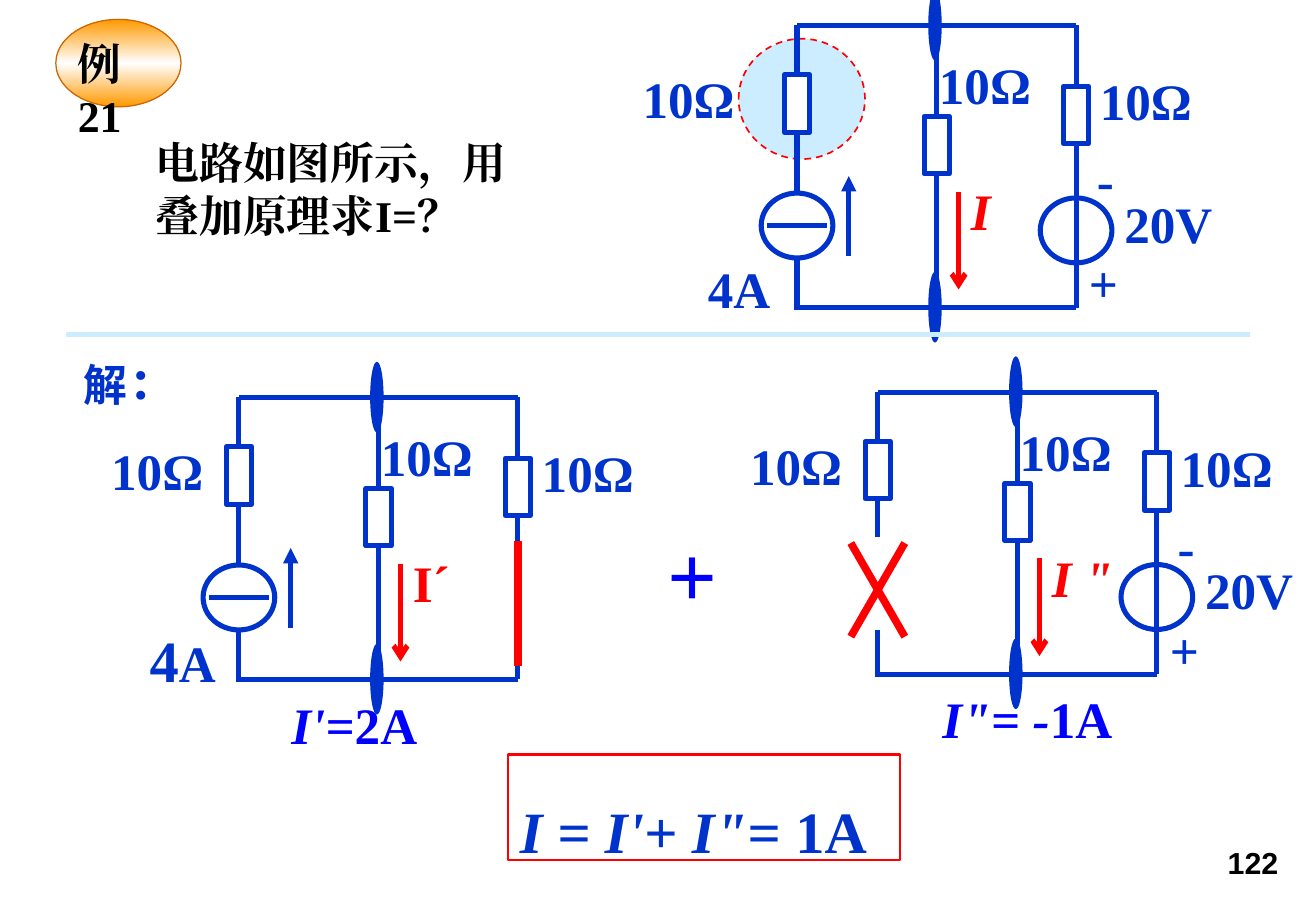
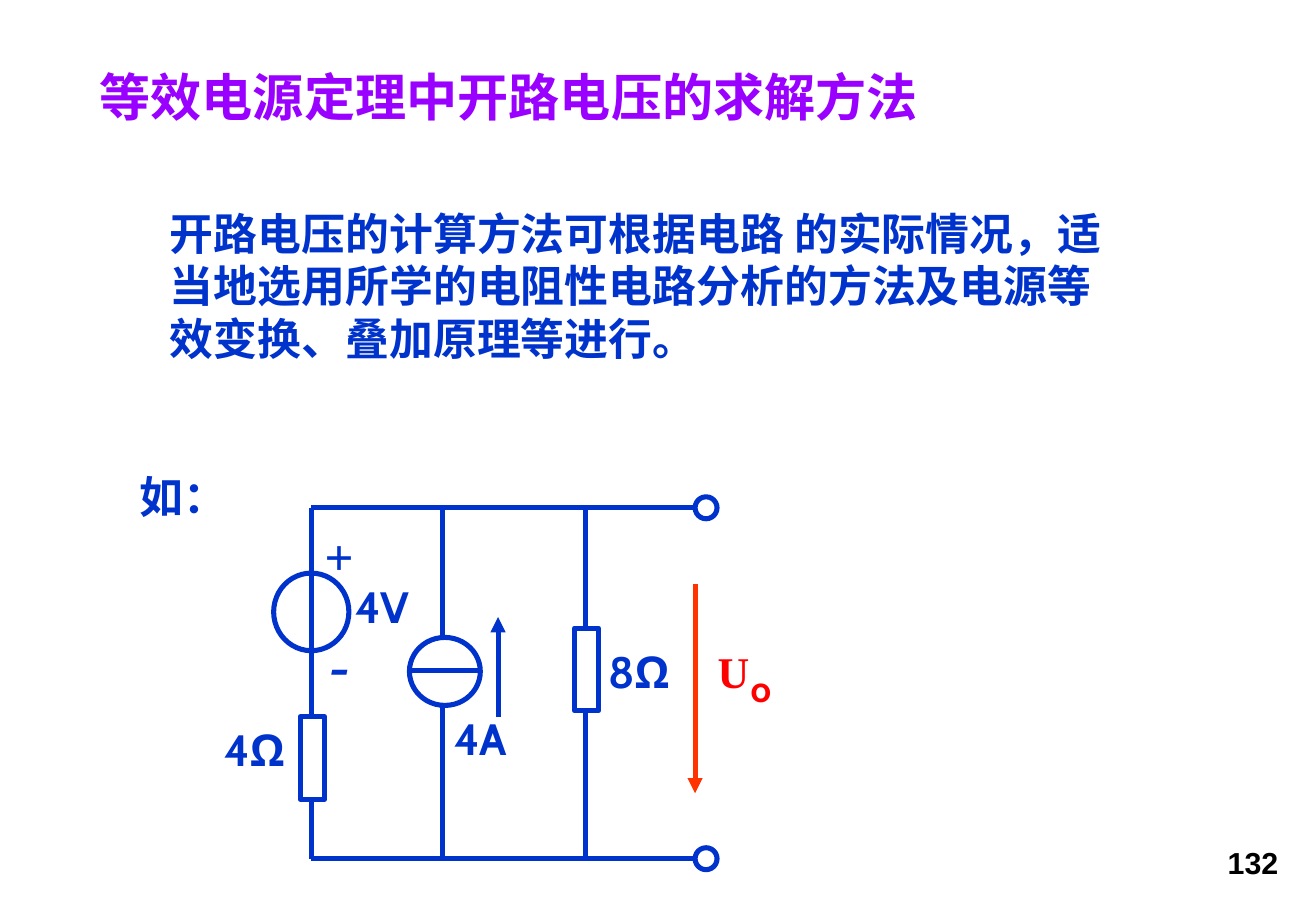
from copy import deepcopy

from lxml import etree
from pptx import Presentation
from pptx.dml.color import RGBColor
from pptx.enum import dml, shapes, text
from pptx.oxml import ns
from pptx.util import Pt

COLORS = {
    "blue": "0033CC", "bright": "0000FF", "red": "FF0000", "orange_red": "FF3300",
    "pale": "CCECFF", "white": "FFFFFF", "black": "000000", "purple": "9900FF",
    "orange": "FF9900", "brown": "CC6600",
}
SERIF, CJK, SANS, ROUND = "Times New Roman", "Noto Sans CJK SC", "Arial", "Cabin"
SIZE = 30.3
WIRE = 3
RECT, OVAL = shapes.MSO_SHAPE.RECTANGLE, shapes.MSO_SHAPE.OVAL

# One loop of the superposition circuit: width, middle branch and height
LOOP_W, LOOP_MID, LOOP_H = 165.4, 82.8, 167.2


def color(name):
    return RGBColor.from_string(COLORS[name])


# Text
def write(shape, runs, size=SIZE, font=SERIF, ink="blue", italic=False,
          spacing=None, align=None, wrap=True, anchor=text.MSO_ANCHOR.TOP):
    """Fill a shape with one paragraph; runs is a string or (string, changes) pairs."""
    frame = shape.text_frame
    frame.word_wrap = wrap
    frame.vertical_anchor = anchor
    paragraph = frame.paragraphs[0]
    paragraph.alignment = align or text.PP_ALIGN.LEFT
    if spacing:
        paragraph.line_spacing = spacing
    for content, changes in [(runs, {})] if isinstance(runs, str) else runs:
        look = {"size": size, "font": font, "italic": italic, **changes}
        run = paragraph.add_run()
        run.text = content
        run.font.size = Pt(look["size"])
        run.font.name = look["font"]
        run.font.bold = True
        run.font.italic = look["italic"]
        run.font.color.rgb = color(ink)
        east_asian = etree.SubElement(run.font._element, ns.qn("a:ea"))
        east_asian.set("typeface", look["font"])


def label(slide, left, top, width, height, runs, **style):
    box = slide.shapes.add_textbox(Pt(left), Pt(top), Pt(width), Pt(height))
    write(box, runs, **style)


# Shapes and lines
def add_figure(slide, kind, left, top, width, height, fill="white", line="blue",
               weight=WIRE, dash=None):
    shape = slide.shapes.add_shape(kind, Pt(left), Pt(top), Pt(width), Pt(height))
    shape.shadow.inherit = False
    if fill:
        shape.fill.solid()
        shape.fill.fore_color.rgb = color(fill)
    else:
        shape.fill.background()
    if line:
        shape.line.color.rgb = color(line)
        shape.line.width = Pt(weight)
        if dash:
            shape.line.dash_style = dash
    else:
        shape.line.fill.background()
    return shape


def add_line(slide, x1, y1, x2, y2, ink="blue", weight=WIRE, head=None):
    line = slide.shapes.add_connector(
        shapes.MSO_CONNECTOR.STRAIGHT, Pt(x1), Pt(y1), Pt(x2), Pt(y2))
    line.line.color.rgb = color(ink)
    line.line.width = Pt(weight)
    if head:
        etree.SubElement(line.line._get_or_add_ln(), ns.qn("a:tailEnd"), type=head)
    etree.SubElement(line._element.spPr, ns.qn("a:effectLst"))


def add_resistor(slide, x, top, width=15, height=34):
    add_figure(slide, RECT, x - width / 2, top, width, height)


def add_source(slide, x, y, width=42.5, height=38.5):
    add_figure(slide, OVAL, x - width / 2, y - height / 2, width, height)


def add_slide(presentation, number):
    slide = presentation.slides.add_slide(presentation.slide_layouts[6])
    label(slide, 549.4, 496.8, 215.3, 28.8, number, size=18, font=SANS,
          ink="black", align=text.PP_ALIGN.RIGHT)
    return slide


# Circuit with a current source on the left and a voltage source on the right
def add_loop(slide, x, y, current, current_italic=True, current_source=True,
             voltage_source=True, amps="4A", amps_dy=116, left_dx=-82.8):
    right, middle, bottom = x + LOOP_W, x + LOOP_MID, y + LOOP_H

    # Wires
    if voltage_source:
        add_source(slide, right, y + 121.5)
    for level in (y, bottom):
        add_line(slide, x, level, right, level)
    for branch in (middle, right):
        add_line(slide, branch, y, branch, bottom)
    for start, end in [(0, LOOP_H + 1.5)] if current_source else [(0, 86), (141, LOOP_H + 1.5)]:
        add_line(slide, x, y + start, x, y + end)

    # Resistors and junctions
    for branch, dy in ((x, 29.3), (middle, 54), (right, 36)):
        add_resistor(slide, branch, y + dy)
    for level in (y, bottom):
        add_figure(slide, OVAL, middle - 5, level - 21.2, 8, 42, fill="blue", line=None)
    for dx, dy in ((left_dx, 21.4), (77, 13), (172.4, 22.6)):
        label(slide, x + dx, y + dy, 72.7, 44, "10Ω")

    # Branch current
    add_line(slide, x + 95.8, y + 98.6, x + 95.8, y + 156.5, ink="red", head="arrow")
    label(slide, x + 96, y + 88, 63.4, 44, current, ink="red", italic=current_italic)

    # Current source, or an open branch
    if current_source:
        add_source(slide, x, y + 118.6)
        add_line(slide, x - 18, y + 118.6, x + 18, y + 118.6)
        add_line(slide, x + 30.7, y + 136.5, x + 30.7, y + 89.3, head="triangle")
        label(slide, x - 60, y + amps_dy, 54, 55.4, amps, spacing=1.5, wrap=False)
    else:
        for side in (-16, 16):
            add_line(slide, x - side, y + 89.5, x + side, y + 145, ink="red", weight=4.5)

    # Voltage source, or a short circuit
    if voltage_source:
        for dx, dy, width, mark in ((166, 112.3, 31.7, "+"), (170.6, 51.3, 24.5, "-")):
            label(slide, x + dx, y + dy, width, 55.4, mark, spacing=1.5, wrap=False)
        label(slide, x + 186.9, y + 77, 72.7, 55.4, "20V", spacing=1.5)
    else:
        add_line(slide, right, y + 85, right, y + 159, ink="red", weight=4.5)


def add_example_badge(slide):
    badge = add_figure(slide, OVAL, 33.1, 11.5, 74.2, 51.8, line="brown", weight=0.75)
    badge.fill.gradient()
    badge.fill.gradient_angle = 90
    stops = badge._element.spPr.find(".//" + ns.qn("a:gsLst"))
    stops.insert(1, deepcopy(stops[0]))
    for stop, name, position in zip(badge.fill.gradient_stops,
                                    ("orange", "white", "orange"), (0, 0.5, 1)):
        stop.color.rgb = color(name)
        stop.position = position
    label(slide, 39, 18, 60, 39.6, "例21", size=26, ink="black")


def build_superposition(presentation):
    slide = add_slide(presentation, "122")

    # Problem
    add_figure(slide, OVAL, 437.8, 23, 74.9, 71.3, fill="pale", line="red",
               weight=1, dash=dml.MSO_LINE.DASH)
    add_loop(slide, 472.4, 15.1, "I", left_dx=-98.6)
    add_example_badge(slide)
    label(slide, 85, 77, 246.2, 70.6, "电路如图所示，用叠加原理求I=？", size=26, ink="black")
    add_line(slide, 38.9, 198.5, 740.9, 198.5, ink="pale")

    # Solution: one source at a time
    label(slide, 42.5, 185.8, 80.6, 55.4, [("解", {"size": 26, "font": CJK}), ("：", {})],
          spacing=1.5)
    add_loop(slide, 141.6, 235.6, "I´", current_italic=False, voltage_source=False,
             amps=[("4", {"size": 34.7}), ("A", {})], amps_dy=110)
    label(slide, 388.8, 273.6, 44.6, 90.7, "+", size=52, ink="bright", spacing=1.5, wrap=False)
    add_loop(slide, 520.3, 232.4, "I \"", current_source=False)

    # Results
    for left, top, width, symbol, value in ((165.6, 389.5, 90, "I'=", "2A"),
                                            (551.5, 385.9, 115.9, "I\"= -", "1A")):
        label(slide, left, top, width, 55.4, [(symbol, {}), (value, {"italic": False})],
              ink="bright", italic=True, spacing=1.5, wrap=False)
    total = add_figure(slide, RECT, 301, 447.1, 232.6, 62.6, fill=None, line="red", weight=1.5)
    write(total, [("I = I'+ I\"= ", {}), ("1A", {"italic": False})],
          size=34.7, italic=True, spacing=1.5)


def build_open_circuit(presentation):
    slide = add_slide(presentation, "132")

    # Title and explanation
    label(slide, 51.8, 38.9, 584.6, 40.3, "等效电源定理中开路电压的求解方法", font=CJK,
          ink="purple", size=SIZE, spacing=0.9, anchor=text.MSO_ANCHOR.MIDDLE)
    label(slide, 93.6, 118.8, 584.6, 101.5,
          "开路电压的计算方法可根据电路 的实际情况，适当地选用所学的电阻性电路分析的方法"
          "及电源等效变换、叠加原理等进行。", size=26, font=CJK)
    label(slide, 75.6, 275, 86.4, 38.9, "如：", size=26, font=CJK)

    # Wires, sources and resistors
    top, bottom, terminal = 301, 509, 412
    voltage, current, load = 184.5, 262.5, 347
    add_source(slide, voltage, 362.7, 44.6, 46)
    for branch in (voltage, current, load):
        add_line(slide, branch, top, branch, bottom)
    add_source(slide, current + 1.2, 398, 42, 40.3)
    add_line(slide, current - 19.8, 397.5, current + 22.2, 397.5)
    add_resistor(slide, voltage + 0.7, 424.8, 14.4, 49)
    add_resistor(slide, load + 0.7, 372.3, 14.4, 49)
    for level in (top, bottom):
        add_line(slide, voltage, level, terminal, level)
        add_figure(slide, OVAL, terminal, level - 6.5, 13, 13)

    # Directions
    add_line(slide, 295.2, 424.8, 295.2, 365.8, head="triangle")
    add_line(slide, terminal, 346.3, terminal, 470.2, ink="orange_red", head="triangle")

    # Values and polarity
    for left, y, value in ((203.8, 339.8, "4V"), (262.1, 418.3, "4A"),
                           (126, 424.8, "4Ω"), (353.5, 378.7, "8Ω")):
        label(slide, left, y, 58.3, 38.9, value, size=26, font=ROUND)
    label(slide, 185, 307.4, 33.1, 44.6, "+", italic=True, wrap=False)
    label(slide, 188.6, 368.6, 27.4, 49.7, "-", size=34.7, italic=True, wrap=False)
    label(slide, 418.3, 378.7, 58.3, 38.9, "U", size=26, ink="red")
    label(slide, 437.8, 391, 58.3, 33.8, "o", size=21.7, font=ROUND, ink="red")


def main():
    presentation = Presentation()
    presentation.slide_width, presentation.slide_height = Pt(780), Pt(540)
    build_superposition(presentation)
    build_open_circuit(presentation)
    presentation.save("out.pptx")


if __name__ == "__main__":
    main()
